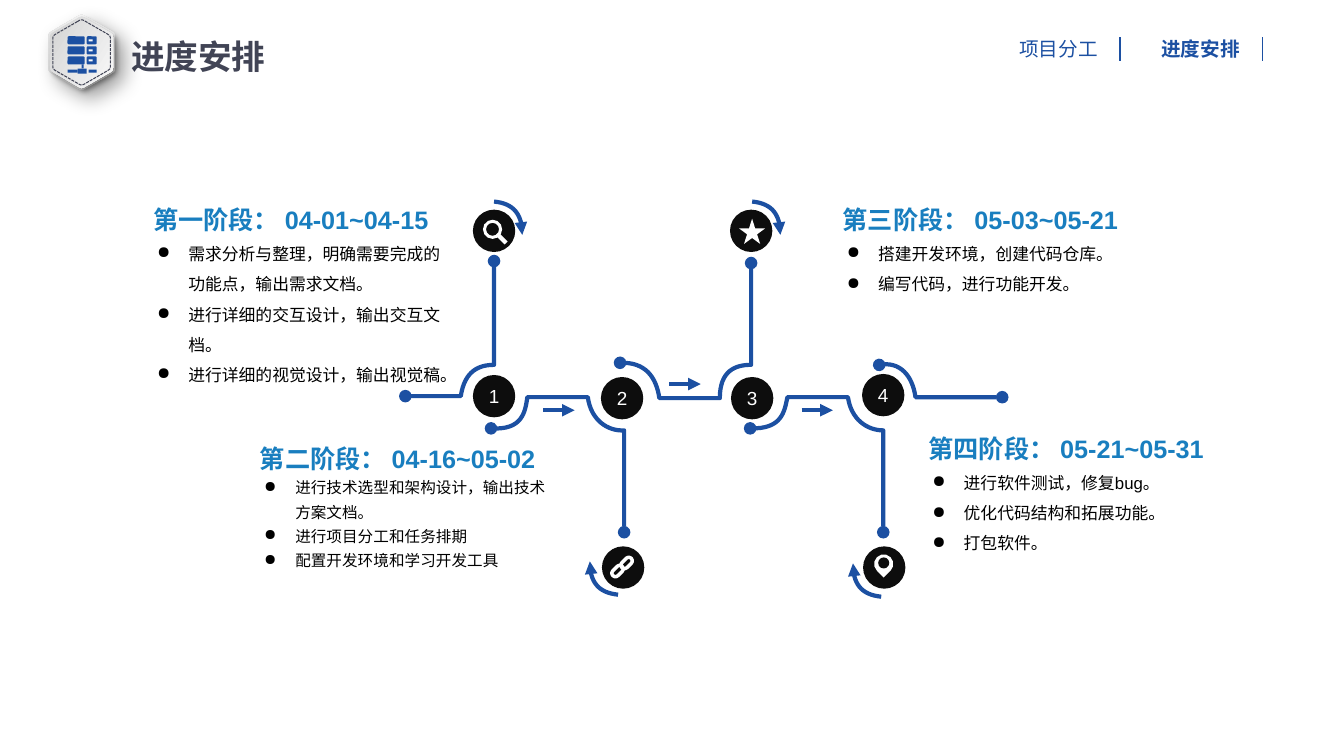
import math

import lxml.etree
import pptx
import pptx.dml.color
import pptx.enum.dml
import pptx.enum.shapes
import pptx.enum.text
import pptx.oxml.ns
import pptx.util
from pptx.util import Inches

RGBColor = pptx.dml.color.RGBColor
SHAPE = pptx.enum.shapes.MSO_SHAPE
AUTO_SIZE = pptx.enum.text.MSO_AUTO_SIZE

BLUE = RGBColor(0x1C, 0x50, 0xA2)
HEADING_BLUE = RGBColor(0x19, 0x7E, 0xBF)
SLATE = RGBColor(0x41, 0x44, 0x55)
BLACK = RGBColor(0, 0, 0)
BADGE_BLACK = RGBColor(0x0D, 0x0D, 0x0D)
WHITE = RGBColor(255, 255, 255)
SILVER = RGBColor(0xD3, 0xD3, 0xD3)
PALE = RGBColor(0xF9, 0xF9, 0xF9)

# Each track is a list of points (x, y) and cubic curves (x1, y1, x2, y2, x, y).
TRACKS = [
    [(4.02, 3.93), (4.57, 3.93), (4.61, 3.67, 4.76, 3.62, 4.9, 3.62), (4.9, 2.59)],
    [(4.87, 4.25), (5.18, 4.27, 5.21, 4.09, 5.23, 3.94), (5.83, 3.94),
     (5.86, 4.17, 6.03, 4.28, 6.19, 4.27), (6.19, 5.28)],
    [(6.15, 3.6), (6.41, 3.59, 6.51, 3.75, 6.54, 3.95), (7.14, 3.95),
     (7.14, 3.68, 7.29, 3.62, 7.45, 3.62), (7.45, 2.61)],
    [(8.72, 3.62), (8.93, 3.58, 9.05, 3.73, 9.08, 3.94), (9.94, 3.94)],
    [(7.44, 4.25), (7.76, 4.26, 7.78, 4.08, 7.81, 3.94), (8.41, 3.94),
     (8.44, 4.16, 8.6, 4.27, 8.76, 4.27), (8.76, 5.28)],
]
SWOOPS = [(4.9, 2, 1), (7.46, 2, 1), (8.74, 5.92, -1), (6.13, 5.9, -1)]
ARROWS = [(5.39, 4.07), (6.64, 3.81), (7.95, 4.07)]
BADGES = [(4.69, 3.72, "1"), (5.96, 3.74, "2"), (7.25, 3.74, "3"), (8.55, 3.71, "4"),
          (4.69, 2.08, ""), (5.97, 5.42, ""), (7.24, 2.08, ""), (8.56, 5.42, "")]
STAGES = [
    (1.42, 1.98, "第一阶段： 04-01~04-15", 12, 1.5,
     ["需求分析与整理，明确需要完成的功能点，输出需求文档。",
      "进行详细的交互设计，输出交互文档。",
      "进行详细的视觉设计，输出视觉稿。"]),
    (8.26, 1.98, "第三阶段： 05-03~05-21", 12, 1.5,
     ["搭建开发环境，创建代码仓库。", "编写代码，进行功能开发。"]),
    (9.11, 4.25, "第四阶段： 05-21~05-31", 12, 1.5,
     ["进行软件测试，修复bug。", "优化代码结构和拓展功能。", "打包软件。"]),
    (2.48, 4.35, "第二阶段： 04-16~05-02", 11.1, 1.3,
     ["进行技术选型和架构设计，输出技术方案文档。",
      "进行项目分工和任务排期", "配置开发环境和学习开发工具"]),
]


def add_xml(parent, tag, **attributes):
    return lxml.etree.SubElement(parent, pptx.oxml.ns.qn(tag), attributes)


def flatten(track, steps=16):
    """Turn points and cubic curves into a plain list of points."""
    points = [track[0]]
    for piece in track[1:]:
        if len(piece) == 2:
            points.append(piece)
            continue
        controls = [points[-1], piece[:2], piece[2:4], piece[4:]]
        for step in range(1, steps + 1):
            t = step / steps
            weights = [(1 - t) ** 3, 3 * t * (1 - t) ** 2, 3 * t * t * (1 - t), t ** 3]
            points.append(tuple(sum(w * c[axis] for w, c in zip(weights, controls))
                                for axis in (0, 1)))
    return points


def add_outline(page, points, close):
    start, *rest = [(Inches(x), Inches(y)) for x, y in points]
    builder = page.shapes.build_freeform(*start)
    builder.add_line_segments(rest, close=close)
    outline = builder.convert_to_shape()
    outline.shadow.inherit = False
    return outline


def set_line(item, color, width, head=None, tail=None):
    item.line.color.rgb = color
    item.line.width = pptx.util.Pt(width)
    for tag, end in (("a:headEnd", head), ("a:tailEnd", tail)):
        if end:
            add_xml(item.line._get_or_add_ln(), tag, type=end)


def add_track(page, track, head, tail):
    outline = add_outline(page, flatten(track), close=False)
    outline.fill.background()
    set_line(outline, BLUE, 3, head, tail)


def add_swoop(page, x, y, sign):
    """Draw a curved arrow; sign -1 turns it by half a circle."""
    offsets = (0.2, 0.02, 0.28, 0.13, 0.28, 0.33)
    curve = tuple(origin + sign * offset for origin, offset in zip((x, y) * 3, offsets))
    add_track(page, [(x, y), curve], None, "triangle")


def add_straight(page, x1, y1, x2, y2, color, width, tail=None):
    line = page.shapes.add_connector(pptx.enum.shapes.MSO_CONNECTOR.STRAIGHT,
                                     Inches(x1), Inches(y1), Inches(x2), Inches(y2))
    set_line(line, color, width, tail=tail)
    add_xml(line._element.spPr, "a:effectLst")


def add_solid(page, kind, left, top, width, height, color):
    shape = page.shapes.add_shape(kind, Inches(left), Inches(top), Inches(width), Inches(height))
    shape.shadow.inherit = False
    shape.fill.solid()
    shape.fill.fore_color.rgb = color
    shape.line.fill.background()
    return shape


def style(para, size, color, bold=False, name="Arial"):
    para.font.name = name
    para.font.size = pptx.util.Pt(size)
    para.font.bold = bold
    para.font.color.rgb = color


def add_badge(page, left, top, number):
    badge = add_solid(page, SHAPE.OVAL, left, top, 0.42, 0.42, BADGE_BLACK)
    if number:
        frame = badge.text_frame
        frame.margin_left = frame.margin_right = 0
        frame.vertical_anchor = pptx.enum.text.MSO_ANCHOR.MIDDLE
        para = frame.paragraphs[0]
        para.text = number
        para.alignment = pptx.enum.text.PP_ALIGN.CENTER
        style(para, 13.5, WHITE)


def add_label(page, left, top, width, height, text, size, color, bold, fit=AUTO_SIZE.NONE):
    box = page.shapes.add_textbox(Inches(left), Inches(top), Inches(width), Inches(height))
    box.text_frame.word_wrap = False
    box.text_frame.auto_size = fit
    para = box.text_frame.paragraphs[0]
    para.text = text
    style(para, size, color, bold)


def add_stage(page, left, top, heading, size, spacing, tasks):
    box = page.shapes.add_textbox(Inches(left + 0.04), Inches(top + 0.29),
                                  Inches(3.09), Inches(1.05))
    frame = box.text_frame
    frame.word_wrap = True
    frame.auto_size = AUTO_SIZE.NONE
    for index, task in enumerate(tasks):
        para = frame.add_paragraph() if index else frame.paragraphs[0]
        para.text = task
        para.line_spacing = spacing
        properties = para._p.get_or_add_pPr()
        properties.set("marL", str(Inches(0.31)))
        properties.set("indent", str(Inches(-0.31)))
        add_xml(properties, "a:buChar", char="●")
        style(para, size, BLACK)
    add_label(page, left, top, 2.4, 0.38, heading, 18, HEADING_BLUE, True)


def add_hexagon(page, radius):
    """Add a hexagon standing on a rounded corner."""
    corners = [(0.81 + radius * math.sin(k * math.pi / 3),
                0.52 - radius * math.cos(k * math.pi / 3)) for k in range(6)]
    track = []
    for k, corner in enumerate(corners):
        entry, leave = [tuple(c + 0.15 * (n - c) for c, n in zip(corner, near))
                        for near in (corners[k - 1], corners[(k + 1) % 6])]
        track += [entry, corner + corner + leave]
    return add_outline(page, flatten(track, 6), close=True)


def add_plate(page, radius, angle, blur, distance):
    plate = add_hexagon(page, radius)
    plate.line.fill.background()
    plate.fill.gradient()
    plate.fill.gradient_angle = angle
    for stop, color, position in zip(plate.fill.gradient_stops, (SILVER, PALE), (0, 1)):
        stop.color.rgb = color
        stop.position = position
    effects = plate._element.spPr.find(pptx.oxml.ns.qn("a:effectLst"))
    shadow = add_xml(effects, "a:outerShdw", blurRad=str(pptx.util.Pt(blur)),
                     dist=str(pptx.util.Pt(distance)), dir="2700000", rotWithShape="0")
    add_xml(add_xml(shadow, "a:srgbClr", val="000000"), "a:alpha", val="40000")


def add_server_emblem(page):
    add_plate(page, 0.38, 59, 15, 9)
    add_plate(page, 0.36, 329, 4, 3)
    stitch = add_hexagon(page, 0.33)
    stitch.fill.background()
    set_line(stitch, SLATE, 0.75)
    stitch.line.dash_style = pptx.enum.dml.MSO_LINE.SQUARE_DOT
    for top in (0.36, 0.46, 0.56):
        add_solid(page, SHAPE.ROUNDED_RECTANGLE, 0.67, top, 0.17, 0.08, BLUE)
        add_solid(page, SHAPE.ROUNDED_RECTANGLE, 0.86, top, 0.1, 0.08, BLUE)
        add_solid(page, SHAPE.RECTANGLE, 0.88, top + 0.03, 0.04, 0.02, PALE)
    for stand in ((0.81, 0.64, 0.02, 0.04), (0.77, 0.68, 0.09, 0.05),
                  (0.67, 0.69, 0.1, 0.03), (0.88, 0.69, 0.08, 0.03)):
        add_solid(page, SHAPE.RECTANGLE, *stand, BLUE)


def add_badge_icons(page):
    lens = add_solid(page, SHAPE.DONUT, 4.79, 2.18, 0.19, 0.19, WHITE)
    lens.adjustments[0] = 0.16
    add_straight(page, 4.94, 2.33, 5.02, 2.41, WHITE, 3)
    add_solid(page, SHAPE.STAR_5_POINT, 7.33, 2.17, 0.26, 0.25, WHITE)
    for x, y in ((6.06, 5.63), (6.15, 5.55)):
        link = add_solid(page, SHAPE.ROUNDED_RECTANGLE, x, y, 0.13, 0.07, WHITE)
        link.adjustments[0] = 0.5
        link.rotation = -45
        link.fill.background()
        set_line(link, WHITE, 2.5)
    add_solid(page, SHAPE.TEAR, 8.67, 5.5, 0.19, 0.19, WHITE).rotation = 135
    add_solid(page, SHAPE.OVAL, 8.71, 5.53, 0.11, 0.11, BADGE_BLACK)


def set_title(page, text):
    title = page.shapes.title
    title.left, title.top = Inches(1.23), Inches(0.32)
    title.width, title.height = Inches(2.42), Inches(0.48)
    frame = title.text_frame
    frame.margin_left = frame.margin_right = Inches(0.07)
    frame.margin_top = frame.margin_bottom = Inches(0.04)
    frame.auto_size = AUTO_SIZE.NONE
    para = frame.paragraphs[0]
    para.text = text
    para.alignment = pptx.enum.text.PP_ALIGN.LEFT
    style(para, 24, SLATE, True, "Noto Sans CJK SC")


def main():
    deck = pptx.Presentation()
    deck.slide_width, deck.slide_height = Inches(13.33), Inches(7.5)
    page = deck.slides.add_slide(deck.slide_layouts[5])
    set_title(page, "进度安排")
    for track in TRACKS:
        add_track(page, track, "oval", "oval")
    for swoop in SWOOPS:
        add_swoop(page, *swoop)
    for x, y in ARROWS:
        add_straight(page, x, y, x + 0.31, y, BLUE, 3, "triangle")
    for badge in BADGES:
        add_badge(page, *badge)
    add_badge_icons(page)
    for stage in STAGES:
        add_stage(page, *stage)
    for left, text, bold in ((10.01, "项目分工", False), (11.42, "进度安排", True)):
        add_label(page, left, 0.32, 0.99, 0.34, text, 14, BLUE, bold, AUTO_SIZE.SHAPE_TO_FIT_TEXT)
        add_straight(page, left + 1.1, 0.37, left + 1.1, 0.61, BLUE, 1)
    add_server_emblem(page)
    deck.save("out.pptx")


if __name__ == "__main__":
    main()
